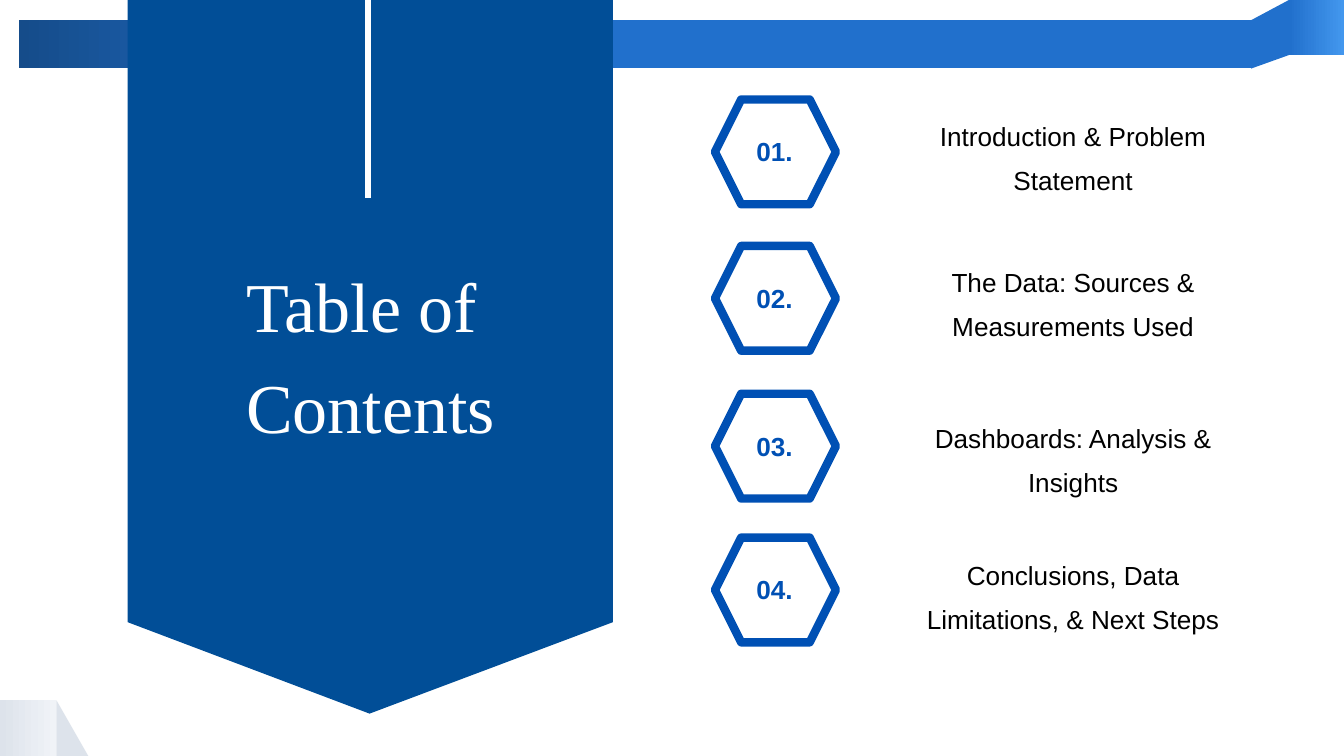
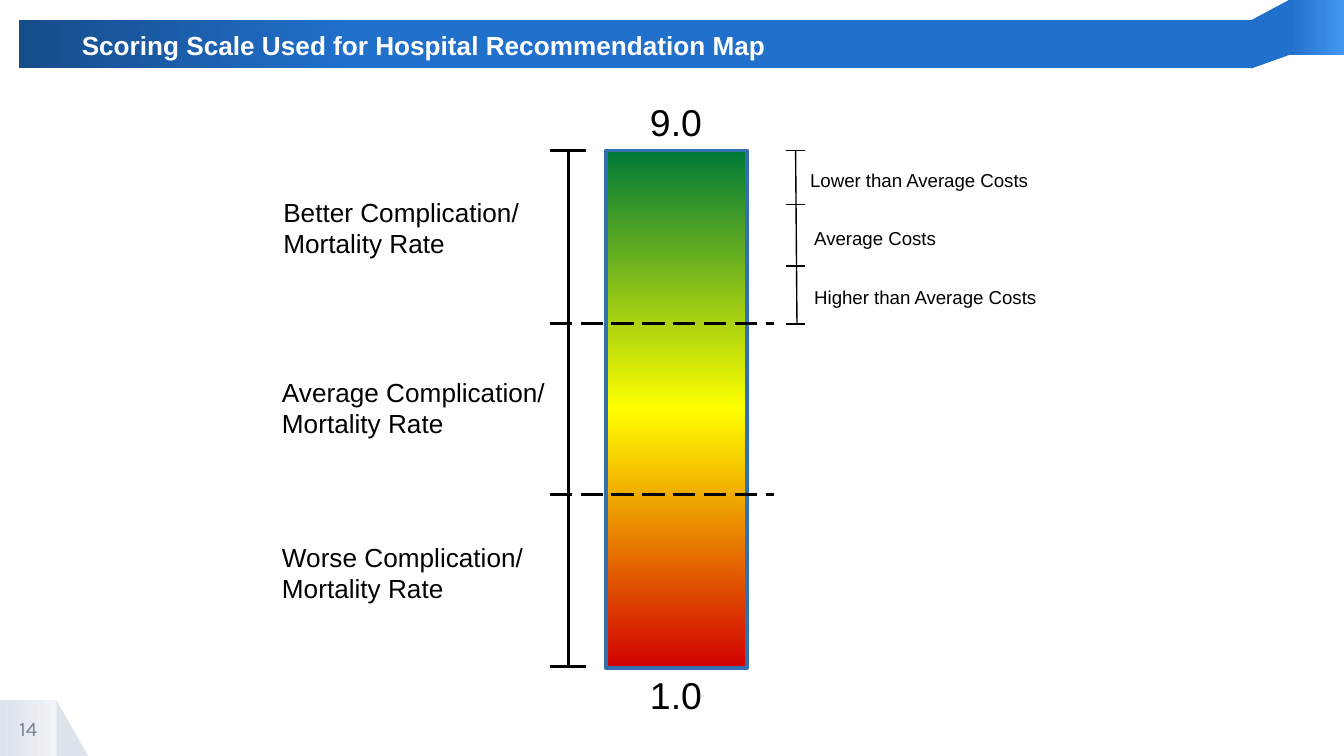
from lxml.etree import SubElement
from pptx import Presentation
from pptx.dml.color import RGBColor
from pptx.enum.dml import MSO_LINE
from pptx.enum.shapes import MSO_CONNECTOR, MSO_SHAPE
from pptx.enum.text import MSO_ANCHOR, PP_ALIGN
from pptx.oxml.ns import qn
from pptx.util import Inches, Pt

WHITE = RGBColor(0xFF, 0xFF, 0xFF)
BLACK = RGBColor(0x00, 0x00, 0x00)
BLUE = RGBColor(0x21, 0x70, 0xCC)
LIGHT_BLUE = RGBColor(0x43, 0x97, 0xEE)
DARK_BLUE = RGBColor(0x15, 0x4C, 0x8A)
BANNER_BLUE = RGBColor(0x01, 0x4E, 0x97)
HEX_BLUE = RGBColor(0x00, 0x50, 0xB4)
SCALE_BLUE = RGBColor(0x32, 0x70, 0xB0)
GREY = RGBColor(0xDD, 0xE3, 0xEB)
PALE_GREY = RGBColor(0xF0, 0xF3, 0xF7)
NUMBER_GREY = RGBColor(0x74, 0x83, 0x94)
GREEN = RGBColor(0x00, 0x79, 0x37)
YELLOW = RGBColor(0xFF, 0xFF, 0x00)
RED = RGBColor(0xD1, 0x00, 0x00)

AGENDA = [
    (0.74, 0.8, "Introduction & Problem Statement"),
    (1.83, 1.89, "The Data: Sources & Measurements Used"),
    (2.93, 3.05, "Dashboards: Analysis & Insights"),
    (4.0, 4.07, "Conclusions, Data Limitations, & Next Steps"),
]
RATES = [
    (2.01, 1.41, 2.03, "Better Complication/ Mortality Rate"),
    (2.0, 2.75, 2.23, "Average Complication/ Mortality Rate"),
    (2.0, 3.98, 2.0, "Worse Complication/ Mortality Rate"),
]
COSTS = [
    (5.93, 1.21, 1.84, "Lower than Average Costs"),
    (5.96, 1.64, 1.12, "Average Costs"),
    (5.96, 2.08, 1.88, "Higher than Average Costs"),
]


class Deck:
    """Holds the presentation style and the slide being drawn."""

    def __init__(self):
        self.prs = Presentation()
        self.prs.slide_width = Inches(10)
        self.prs.slide_height = Inches(10) * 9 // 16

    def slide(self):
        self.s = self.prs.slides.add_slide(self.prs.slide_layouts[6])
        self.shape(MSO_SHAPE.RIGHT_TRIANGLE, 0.42, 5.21, 0.24, 0.42, GREY)
        corner = self.shape(MSO_SHAPE.RECTANGLE, 0, 5.21, 0.42, 0.42)
        self.gradient(corner, [(0, GREY), (100, PALE_GREY)])
        tab = self.shape(MSO_SHAPE.RECTANGLE, 9.59, 0, 0.41, 0.41)
        self.gradient(tab, [(0, BLUE), (100, LIGHT_BLUE)])
        self.freeform([(9.59, 0), (9.31, 0.15), (9.31, 0.51), (9.59, 0.41)], BLUE)
        band = self.shape(MSO_SHAPE.RECTANGLE, 0.14, 0.15, 9.17, 0.36)
        self.gradient(band, [(0, DARK_BLUE), (27, BLUE), (100, BLUE)])

    def paint(self, sp, fill=None, line=None, width=1):
        sp.shadow.inherit = False
        if fill is None:
            sp.fill.background()
        else:
            sp.fill.solid()
            sp.fill.fore_color.rgb = fill
        if line is None:
            sp.line.fill.background()
        else:
            sp.line.color.rgb = line
            sp.line.width = Pt(width)
        return sp

    def shape(self, kind, x, y, w, h, fill=None, line=None, width=1):
        sp = self.s.shapes.add_shape(kind, Inches(x), Inches(y), Inches(w), Inches(h))
        return self.paint(sp, fill, line, width)

    def freeform(self, points, fill):
        dots = [(Inches(x), Inches(y)) for x, y in points]
        fb = self.s.shapes.build_freeform(*dots[0])
        fb.add_line_segments(dots[1:], close=True)
        return self.paint(fb.convert_to_shape(), fill)

    def gradient(self, sp, stops, angle=0):
        sp.fill.gradient()
        sp.fill.gradient_angle = angle
        gs_list = sp._element.spPr.find(qn("a:gradFill")).find(qn("a:gsLst"))
        for gs in list(gs_list):
            gs_list.remove(gs)
        for pos, color in stops:
            gs = SubElement(gs_list, qn("a:gs"), pos=str(pos * 1000))
            SubElement(gs, qn("a:srgbClr"), val=str(color))

    def line(self, x1, y1, x2, y2, width, color=BLACK, dash=None):
        ln = self.s.shapes.add_connector(
            MSO_CONNECTOR.STRAIGHT, Inches(x1), Inches(y1), Inches(x2), Inches(y2))
        ln.line.color.rgb = color
        ln.line.width = Pt(width)
        if dash:
            ln.line.dash_style = dash
        SubElement(ln._element.spPr, qn("a:effectLst"))

    def text(self, x, y, w, h, lines, size=14, color=BLACK, font="Arial", bold=False,
             align=PP_ALIGN.LEFT, spacing=None, inset=True, wrap=True,
             anchor=MSO_ANCHOR.TOP):
        box = self.s.shapes.add_textbox(Inches(x), Inches(y), Inches(w), Inches(h))
        tf = box.text_frame
        tf.word_wrap = wrap
        tf.vertical_anchor = anchor
        if not inset:
            tf.margin_left = tf.margin_top = tf.margin_right = tf.margin_bottom = 0
        for i, content in enumerate(lines):
            p = tf.add_paragraph() if i else tf.paragraphs[0]
            p.alignment = align
            if spacing:
                p.line_spacing = spacing
            r = p.add_run()
            r.text = content
            r.font.size = Pt(size)
            r.font.name = font
            r.font.bold = bold
            r.font.color.rgb = color


def contents_slide(deck):
    deck.slide()
    deck.freeform([(4.56, 0), (4.56, 4.63), (2.75, 5.31), (0.95, 4.63), (0.95, 0)],
                  BANNER_BLUE)
    deck.text(1.03, 1.83, 3.46, 1.51, ["Table of ", "Contents"], 37.5, WHITE,
              "Times New Roman", align=PP_ALIGN.CENTER, spacing=1.2, inset=False)
    deck.line(2.74, 0, 2.74, 1.47, 3, WHITE)
    for number, (hex_top, text_top, topic) in enumerate(AGENDA, 1):
        deck.shape(MSO_SHAPE.HEXAGON, 5.32, hex_top, 0.9, 0.78, line=HEX_BLUE, width=4.5)
        deck.text(5.53, hex_top + 0.22, 0.47, 0.34, [f"{number:02}."],
                  color=HEX_BLUE, bold=True)
        deck.text(6.85, text_top, 2.27, 0.66, [topic], align=PP_ALIGN.CENTER,
                  spacing=1.4, inset=False)


def scale_slide(deck):
    deck.slide()
    deck.text(0, 5.21, 0.42, 0.42, ["14"], 11, NUMBER_GREY, "Karla",
              align=PP_ALIGN.CENTER, inset=False, anchor=MSO_ANCHOR.MIDDLE)
    scale = deck.shape(MSO_SHAPE.RECTANGLE, 4.51, 1.12, 1.05, 3.85,
                       line=SCALE_BLUE, width=2)
    deck.gradient(scale, [(0, GREEN), (50, YELLOW), (100, RED)], 270)
    deck.line(4.23, 1.12, 4.23, 4.96, 1.5)
    for y in (1.12, 4.96):
        deck.line(4.09, y, 4.36, y, 1.5)
    for y in (2.41, 3.68):
        deck.line(4.09, y, 5.76, y, 1.5, dash=MSO_LINE.LONG_DASH)
    deck.line(5.92, 1.12, 5.93, 2.41, 0.75)
    for y in (1.12, 1.52, 1.98, 2.41):
        deck.line(5.85, y, 5.99, y, 0.75)
    for x, y, w, label in COSTS:
        deck.text(x, y, w, 0.27, [label], 10, wrap=False)
    for y, score in ((0.69, "9.0"), (4.95, "1.0")):
        deck.text(4.68, y, 0.7, 0.44, [score], 20, align=PP_ALIGN.CENTER)
    for x, y, w, label in RATES:
        deck.text(x, y, w, 0.57, [label])
    deck.text(0.51, 0.17, 6.72, 0.34, ["Scoring Scale Used for Hospital Recommendation Map"],
              color=WHITE, bold=True)


def main():
    deck = Deck()
    contents_slide(deck)
    scale_slide(deck)
    deck.prs.save("out.pptx")


if __name__ == "__main__":
    main()
